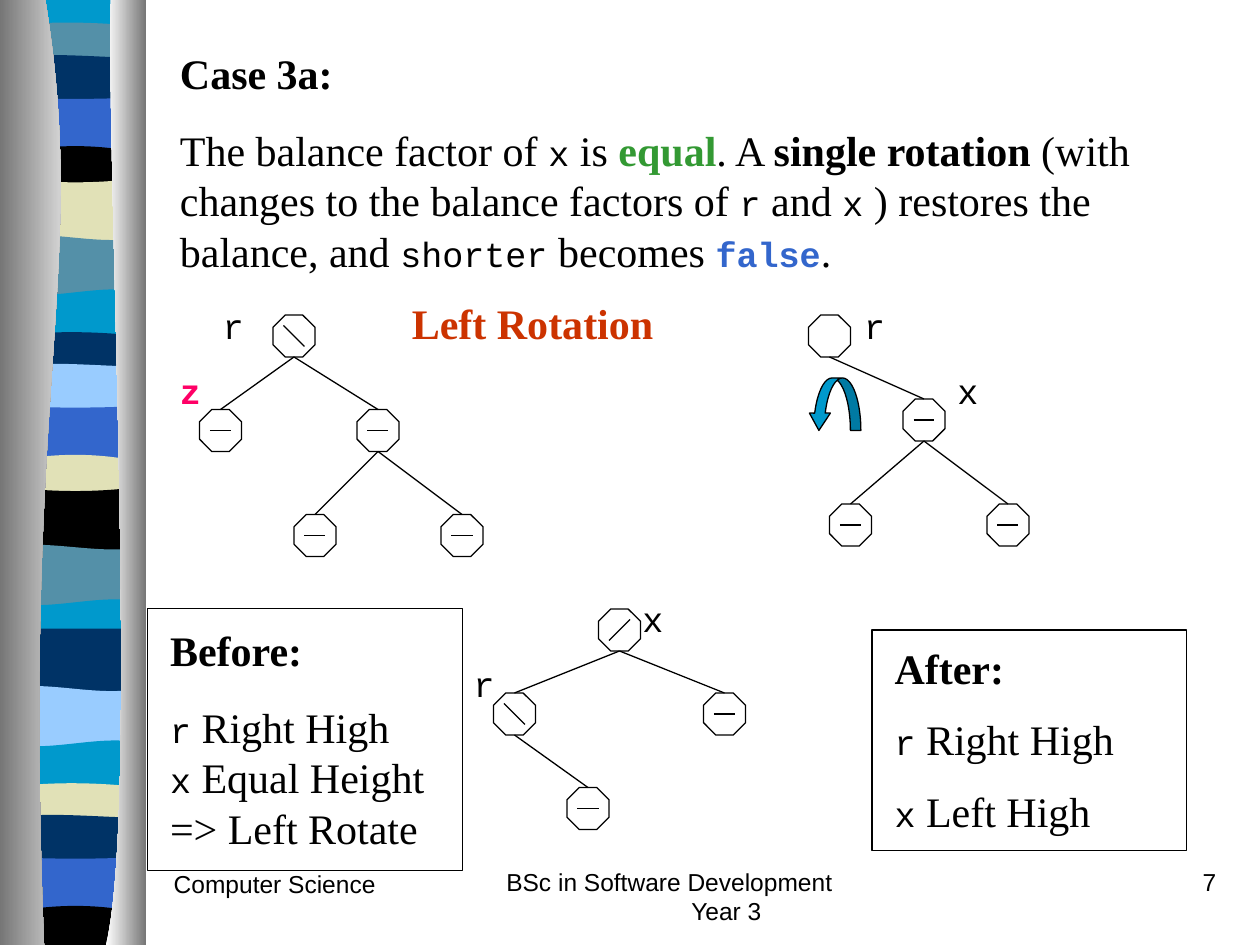
from typing import NamedTuple

from pptx import Presentation
from pptx import util as u
from pptx.dml.color import RGBColor
from pptx.enum import shapes, text
from pptx.oxml.ns import qn

WIDTH, HEIGHT = 10, 7.5
UNIT = 1 / 12  # grid step of the tree diagrams, in inches
COLORS = {
    "black": "000000", "white": "FFFFFF", "grey": "767676",
    "cyan": "0099CC", "teal": "5490A8", "navy": "003366", "blue": "3366CC",
    "khaki": "E1E1B7", "sky": "99CCFF",
    "green": "339933", "red": "CC3300", "pink": "FF0066",
}


class Style(NamedTuple):
    font: str
    size: float
    bold: bool = False
    color: str = "black"


class Span(NamedTuple):
    text: str
    style: Style


class Line(NamedTuple):
    spans: list[Span]
    before: float = 0
    spacing: float = 1
    align: text.PP_ALIGN = text.PP_ALIGN.LEFT
    indent: float = 0
    tabs: tuple[float, ...] = ()


class Band(NamedTuple):
    color: str
    top: float
    left_bend: float = 0
    right_bend: float = 0


class Node(NamedTuple):
    column: int
    row: int
    sign: str = "equal"
    parent: int | None = None


BODY = Style("Times New Roman", 24)
BOLD = BODY._replace(bold=True)
CODE = Style("Courier New", 20)
FOOT = Style("Arial", 14)
BREAK = Span("\n", BODY)

# Half-length of each balance sign, in grid units
SIGNS = {"equal": (1, 0), "right": (1, 1), "left": (1, -1)}

BANDS = [
    Band("cyan", 0), Band("teal", 0.21, -0.05, -0.03), Band("navy", 0.46, -0.05),
    Band("blue", 0.77, 0.02, 0.02), Band("black", 1.22, -0.08, -0.08),
    Band("khaki", 1.41, 0.05, 0.05), Band("teal", 1.88, -0.06, 0.08),
    Band("cyan", 2.32, 0.08, -0.08), Band("navy", 2.67, -0.05, -0.04),
    Band("sky", 2.91, -0.05), Band("blue", 3.22, 0.02, 0.02),
    Band("khaki", 3.67, -0.08, -0.08), Band("black", 3.86, 0.05, 0.05),
    Band("teal", 4.34, -0.06, 0.07), Band("cyan", 4.78, 0.08, -0.08),
    Band("navy", 4.99), Band("sky", 5.46, -0.06, 0.08),
    Band("cyan", 5.9, 0.08, -0.08), Band("khaki", 6.25, -0.05, -0.04),
    Band("navy", 6.49, -0.05), Band("blue", 6.8, 0.02, 0.02),
    Band("black", 7.25, -0.08, -0.08),
]

TREES = [
    [Node(28, 32, "right"), Node(21, 41, parent=0), Node(36, 41, parent=0),
     Node(30, 51, parent=2), Node(44, 51, parent=2)],
    [Node(79, 32, ""), Node(88, 40, parent=0),
     Node(81, 50, parent=1), Node(96, 50, parent=1)],
    [Node(59, 60, "left"), Node(49, 68, "right", 0), Node(69, 68, parent=0),
     Node(56, 77, parent=1)],
]

EXPLANATION = [
    Line([Span("Case 3a:", BOLD)]),
    Line([Span("The balance factor of ", BODY), Span("x", CODE), Span(" is ", BODY),
          Span("equal", BOLD._replace(color="green")), Span(". A ", BODY),
          Span("single rotation", BOLD),
          Span(" (with changes to the balance factors of ", BODY), Span("r", CODE),
          Span(" and ", BODY), Span("x", CODE),
          Span(" ) restores the balance, and ", BODY), Span("shorter", CODE),
          Span(" becomes ", BODY),
          Span("false", CODE._replace(bold=True, color="blue")),
          Span(".", BODY)], before=15),
    # Node names, set on tab stops beside the trees
    Line([Span("\tr\t", CODE), Span("Left Rotation", BOLD._replace(color="red")),
          Span("\tr", CODE)], before=12.5, tabs=(0.34, 1.84, 5.43)),
    Line([Span("z", CODE._replace(bold=True, color="pink")), Span("\tx", CODE)],
         before=12.5, tabs=(6.17,)),
    Line([Span("\tx", CODE)], before=106, tabs=(3.67,)),
    Line([Span("\tr", CODE)], before=13.5, tabs=(2.33,)),
]


def rgb(name: str) -> RGBColor:
    return RGBColor.from_string(COLORS[name])


def add_outline(page, start, curve, corners):
    """Closed outline: one cubic curve from start, then straight sides."""
    emu = [(u.Inches(x), u.Inches(y)) for x, y in (start, *curve, *corners)]
    builder = page.shapes.build_freeform(*emu[0])
    builder.add_line_segments(emu[1:], close=True)
    shape = builder.convert_to_shape()
    shape.shadow.inherit = False
    shape.line.fill.background()
    first, *others = list(shape._element.iter(qn("a:lnTo")))[:3]
    cubic = first.makeelement(qn("a:cubicBezTo"), {})
    first.addprevious(cubic)
    for segment in (first, *others):
        cubic.append(segment[0])
        segment.getparent().remove(segment)
    return shape


def add_post(page, start, curve, corners, colors: tuple[str, str]) -> None:
    fill = add_outline(page, start, curve, corners).fill
    fill.gradient()
    fill.gradient_angle = 0
    for stop, name in zip(fill.gradient_stops, colors):
        stop.color.rgb = rgb(name)


def add_preset(page, kind, left, top, width, height):
    shape = page.shapes.add_shape(kind, *(u.Inches(v) for v in (left, top, width, height)))
    shape.shadow.inherit = False
    shape.fill.background()
    shape.line.color.rgb = rgb("black")
    shape.line.width = u.Pt(0.75)
    return shape


def add_line(page, x1: float, y1: float, x2: float, y2: float) -> None:
    line = page.shapes.add_connector(
        shapes.MSO_CONNECTOR.STRAIGHT, *(u.Inches(v * UNIT) for v in (x1, y1, x2, y2)))
    line.line.color.rgb = rgb("black")
    line.line.width = u.Pt(0.75)
    properties = line._element.spPr
    properties.append(properties.makeelement(qn("a:effectLst"), {}))


def write(box, lines: list[Line], inset=(0.1, 0.05)) -> None:
    frame = box.text_frame
    frame.word_wrap = True
    frame.vertical_anchor = text.MSO_ANCHOR.TOP
    frame.margin_left = frame.margin_right = u.Inches(inset[0])
    frame.margin_top = frame.margin_bottom = u.Inches(inset[1])
    for index, line in enumerate(lines):
        para = frame.add_paragraph() if index else frame.paragraphs[0]
        para.alignment = line.align
        para.space_before = u.Pt(line.before)
        para.line_spacing = line.spacing
        properties = para._p.get_or_add_pPr()
        if line.indent:
            properties.set("marL", str(u.Inches(line.indent)))
        if line.tabs:
            stops = properties.makeelement(qn("a:tabLst"), {})
            properties.append(stops)
            for tab in line.tabs:
                stops.append(stops.makeelement(
                    qn("a:tab"), {"pos": str(u.Inches(tab)), "algn": "l"}))
        for span in line.spans:
            if span == BREAK:
                para.add_line_break()
                continue
            run = para.add_run()
            run.text = span.text
            run.font.name, run.font.bold = span.style.font, span.style.bold
            run.font.size = u.Pt(span.style.size)
            run.font.color.rgb = rgb(span.style.color)


def add_text(page, left, top, width, height, lines: list[Line]) -> None:
    area = (u.Inches(v) for v in (left, top, width, height))
    write(page.shapes.add_textbox(*area), lines)


def add_tree(page, nodes: list[Node]) -> None:
    for node in nodes:
        x, y = node.column, node.row
        add_preset(page, shapes.MSO_SHAPE.OCTAGON,
                   (x - 2) * UNIT, (y - 2) * UNIT, 4 * UNIT, 4 * UNIT)
        if node.sign:
            dx, dy = SIGNS[node.sign]
            add_line(page, x - dx, y - dy, x + dx, y + dy)
        if node.parent is not None:
            parent = nodes[node.parent]
            add_line(page, parent.column, parent.row + 2, x, y - 2)


def main() -> None:
    deck = Presentation()
    deck.slide_width, deck.slide_height = u.Inches(WIDTH), u.Inches(HEIGHT)
    page = deck.slides.add_slide(deck.slide_layouts[6])

    # Striped ribbon: each band runs under the next one
    feet = [band.top + 0.1 for band in BANDS[1:]] + [HEIGHT]
    for band, foot in zip(BANDS, feet):
        ribbon = add_outline(
            page, (0.06, band.top),
            [(0.4, band.top + band.left_bend), (0.8, band.top + band.right_bend),
             (1.13, band.top)], [(1.13, foot), (0.06, foot)])
        ribbon.fill.solid()
        ribbon.fill.fore_color.rgb = rgb(band.color)

    # Grey posts on both sides of the ribbon
    add_post(page, (0.36, 0), [(0.71, 2.16), (0.17, 2.96), (0.35, HEIGHT)],
             [(0, HEIGHT), (0, 0)], ("grey", "white"))
    add_post(page, (0.88, 0), [(0.84, 1.25), (1.11, 6.46), (0.84, HEIGHT)],
             [(1.16, HEIGHT), (1.16, 0)], ("white", "grey"))

    # Footer
    add_text(page, 1.28, 6.85, 2.08, 0.5, [Line([Span("Computer Science", FOOT)])])
    add_text(page, 3.92, 6.83, 3.17, 0.5, [
        Line([Span("BSc in Software Development", FOOT)]),
        Line([Span("Year 3", FOOT)], align=text.PP_ALIGN.CENTER, indent=0.52)])
    add_text(page, 7.67, 6.83, 2.08, 0.5,
             [Line([Span("7", FOOT)], align=text.PP_ALIGN.RIGHT)])

    # Explanation and trees
    add_text(page, 1.33, 0.33, 8.25, 5.29, EXPLANATION)
    for tree in TREES:
        add_tree(page, tree)

    # Rotation arrow, turning to the left
    arrow = add_preset(page, shapes.MSO_SHAPE.CURVED_DOWN_ARROW,
                       77 * UNIT, 36 * UNIT, 5 * UNIT, 5 * UNIT)
    for index, share in enumerate((0.2, 0.4, 0.33)):
        arrow.adjustments[index] = share
    arrow._element.spPr.xfrm.set("flipH", "1")
    arrow.fill.solid()
    arrow.fill.fore_color.rgb = rgb("cyan")

    # Before and after summaries
    before = add_preset(page, shapes.MSO_SHAPE.RECTANGLE, 1.17, 4.83, 2.5, 2.08)
    write(before, [
        Line([Span("Before:", BOLD)]),
        Line([Span("r", CODE), Span(" Right High", BODY), BREAK, Span("x", CODE),
              Span(" Equal Height => Left Rotate", BODY)], before=15),
    ], inset=(0.18, 0.13))
    after = add_preset(page, shapes.MSO_SHAPE.RECTANGLE, 6.92, 5, 2.5, 1.75)
    write(after, [
        Line([Span("After:", BOLD)]),
        Line([Span("r", CODE), Span(" Right High", BODY)], before=15, spacing=0.9),
        Line([Span("x", CODE), Span(" Left High", BODY)], before=15, spacing=0.9),
    ], inset=(0.18, 0.1))

    deck.save("out.pptx")


if __name__ == "__main__":
    main()
